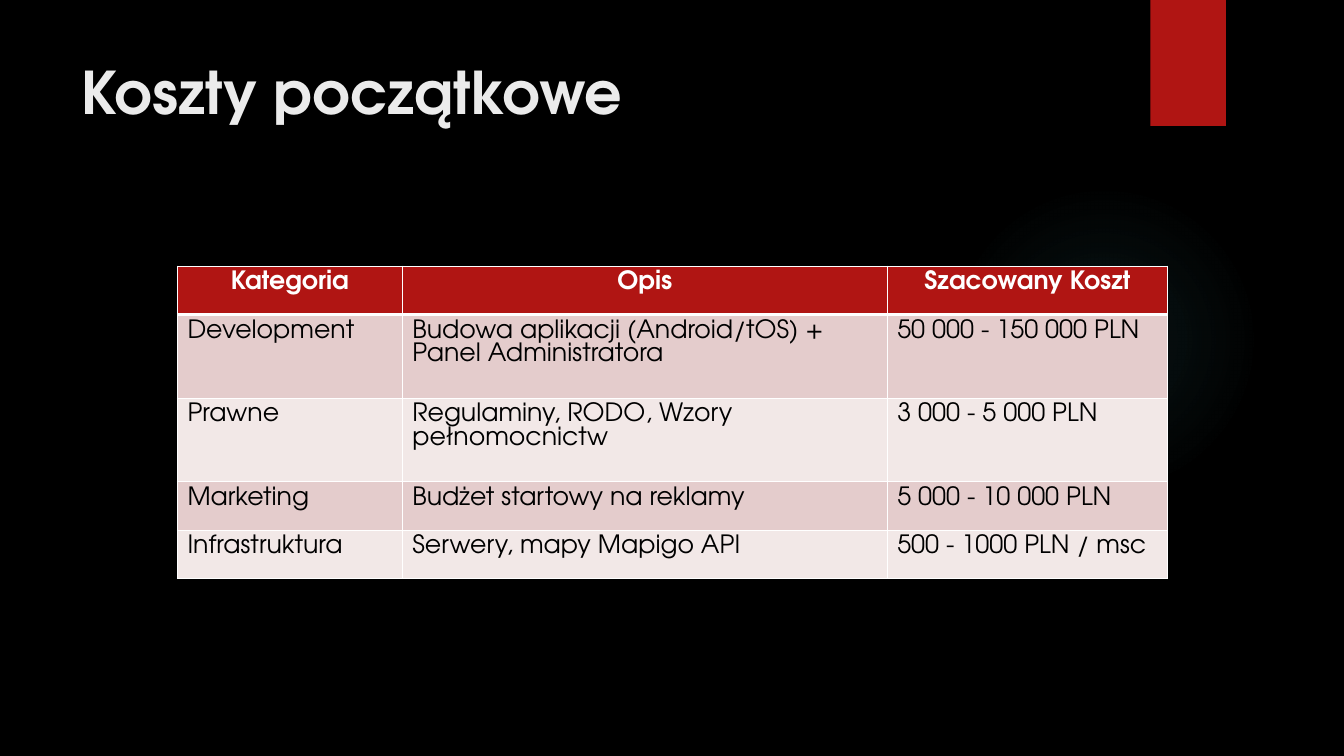
from lxml.etree import SubElement
from pptx import Presentation
from pptx.dml.color import RGBColor
from pptx.enum.shapes import MSO_SHAPE as Shape
from pptx.enum.text import MSO_ANCHOR as Anchor, PP_ALIGN as Align
from pptx.oxml import parse_xml
from pptx.oxml.ns import nsdecls, qn
from pptx.util import Inches, Pt

FONT = "TeX Gyre Adventor"
RED = "B01513"
WHITE = "FFFFFF"
BANDS = ("E4CCCC", "F2E8E7")
GLOW = "50B9C1"
GLOW_STOPS = ((0, 7), (36, 6), (69, 0))
COLUMN_WIDTHS = (2.23, 4.81, 2.78)
ROW_HEIGHTS = (0.48, 0.83, 0.83, 0.48, 0.48)
COSTS = (
    ("Kategoria", "Opis", "Szacowany Koszt"),
    ("Development", "Budowa aplikacji (Android/tOS) + Panel Administratora", "50 000 - 150 000 PLN"),
    ("Prawne", "Regulaminy, RODO, Wzory pełnomocnictw", "3 000 - 5 000 PLN"),
    ("Marketing", "Budżet startowy na reklamy", "5 000 - 10 000 PLN"),
    ("Infrastruktura", "Serwery, mapy Mapigo API", "500 - 1000 PLN / msc"),
)


def color(value):
    return RGBColor.from_string(value)


def paint(fill, value):
    fill.solid()
    fill.fore_color.rgb = color(value)


def write(frame, text, size=18, ink="000000", bold=False, align=Align.LEFT):
    frame.word_wrap = True
    paragraph = frame.paragraphs[0]
    paragraph.alignment = align
    run = paragraph.add_run()
    run.text = text
    run.font.name = FONT
    run.font.size = Pt(size)
    run.font.bold = bold
    run.font.color.rgb = color(ink)


def add_border(cell, side, width):
    line = SubElement(cell._tc.get_or_add_tcPr(), qn(f"a:ln{side}"), w=str(Pt(width)))
    fill = SubElement(line, qn("a:solidFill"))
    SubElement(fill, qn("a:srgbClr"), val=WHITE)


class CostSlide:
    """Holds the dark style and the slide that shows the starting costs."""

    def __init__(self, deck):
        self.slide = deck.slides.add_slide(deck.slide_layouts[5])
        paint(self.slide.background.fill, "000000")

    def title(self, text, left, top, width, height):
        heading = self.slide.shapes.title
        heading.left, heading.top = Inches(left), Inches(top)
        heading.width, heading.height = Inches(width), Inches(height)
        heading.text_frame.vertical_anchor = Anchor.TOP
        write(heading.text_frame, text, size=42, ink="EBEBEB", bold=True)

    def shape(self, kind, left, top, width, height, fill=RED):
        figure = self.slide.shapes.add_shape(
            kind, Inches(left), Inches(top), Inches(width), Inches(height))
        figure.shadow.inherit = False
        figure.line.fill.background()
        paint(figure.fill, fill)
        return figure

    def glow(self, left, top, size):
        halo = self.shape(Shape.OVAL, left, top, size, size, GLOW)
        stops = "".join(
            f'<a:gs pos="{place * 1000}"><a:srgbClr val="{GLOW}">'
            f'<a:alpha val="{alpha * 1000}"/></a:srgbClr></a:gs>'
            for place, alpha in GLOW_STOPS)
        gradient = parse_xml(
            f'<a:gradFill {nsdecls("a")}><a:gsLst>{stops}</a:gsLst><a:path path="circle">'
            '<a:fillToRect l="50000" t="50000" r="50000" b="50000"/></a:path></a:gradFill>')
        properties = halo._element.spPr
        properties.replace(properties.find(qn("a:solidFill")), gradient)

    def table(self, rows, left, top):
        costs = self.slide.shapes.add_table(
            len(rows), len(COLUMN_WIDTHS), Inches(left), Inches(top),
            Inches(sum(COLUMN_WIDTHS)), Inches(sum(ROW_HEIGHTS))).table
        for column, width in zip(costs.columns, COLUMN_WIDTHS):
            column.width = Inches(width)
        for index, (row, height, texts) in enumerate(zip(costs.rows, ROW_HEIGHTS, rows)):
            row.height = Inches(height)
            header = index == 0
            for cell, text in zip(row.cells, texts):
                write(cell.text_frame, text, bold=header,
                      ink=WHITE if header else "000000",
                      align=Align.CENTER if header else Align.LEFT)
                for side in "LRTB":
                    under_header = (index, side) in ((0, "B"), (1, "T"))
                    add_border(cell, side, 3 if under_header else 1)
                paint(cell.fill, RED if header else BANDS[(index - 1) % 2])


def main():
    deck = Presentation()
    deck.slide_width, deck.slide_height = Inches(13.33), Inches(7.5)
    page = CostSlide(deck)
    page.glow(9.41, 1.83, 3.08)
    page.shape(Shape.RECTANGLE, 11.41, 0, 0.75, 1.25)
    page.title("Koszty początkowe", 0.71, 0.5, 10.29, 1.53)
    page.table(COSTS, 1.76, 2.64)
    deck.save("out.pptx")


if __name__ == "__main__":
    main()
